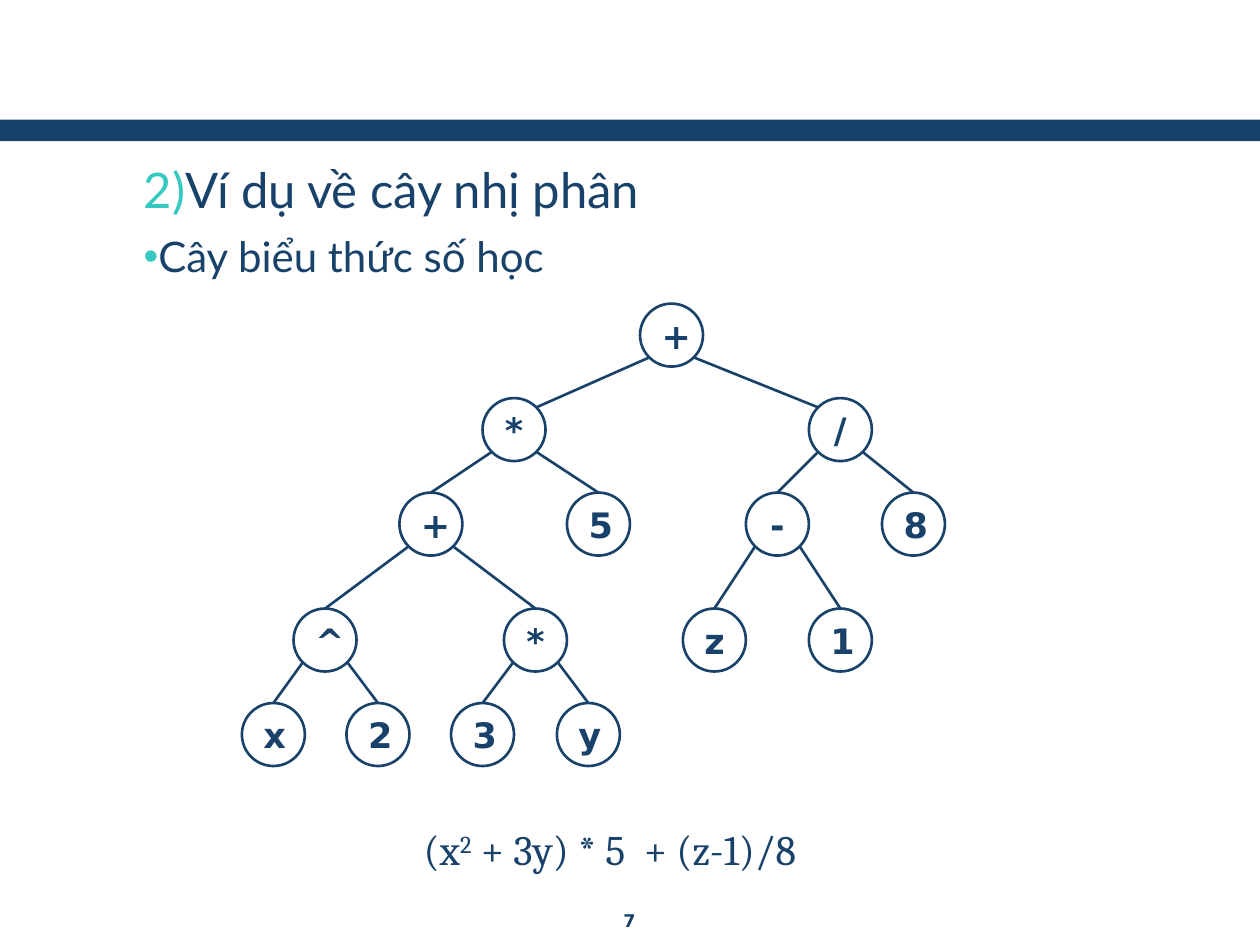
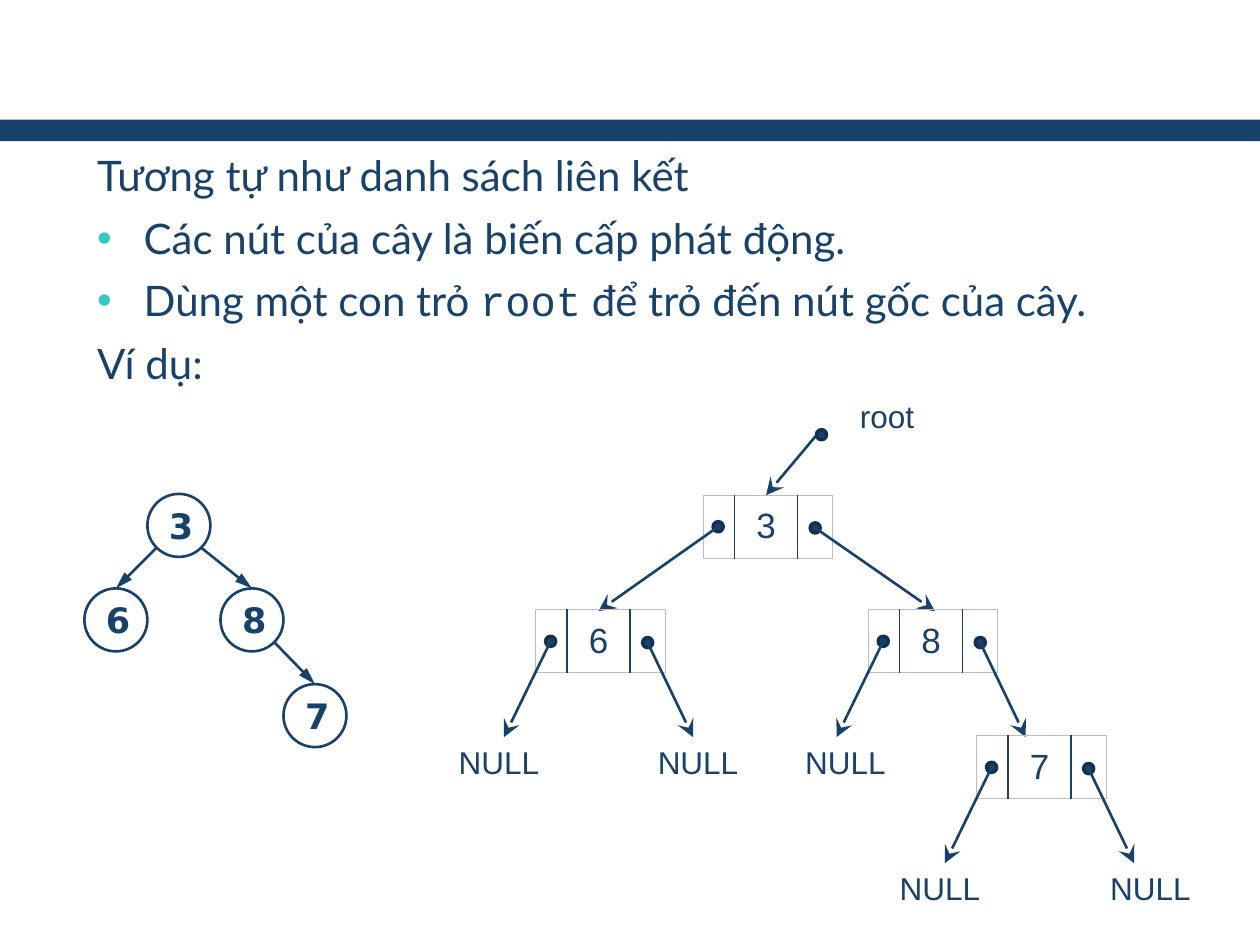
from dataclasses import dataclass

from lxml import etree
from pptx import Presentation
from pptx import util as u
from pptx.dml.color import RGBColor
from pptx.enum import shapes as sh, text as tx
from pptx.oxml.ns import qn


@dataclass(frozen=True)
class Theme:
    navy: str = "19426B"
    dark: str = "12314F"
    teal: str = "35C9C2"
    pale: str = "BCBCC8"
    white: str = "FFFFFF"
    body: str = "Lato"
    code: str = "Courier New"
    math: str = "Cambria"
    node: str = "DejaVu Sans"
    plain: str = "Arial"
    head: int = 28
    text: int = 24
    mark: int = 20
    label: int = 18
    foot: int = 10
    rule: float = 1.5


T = Theme()
SIZE = 0.5      # circle diameter and record height
DOT = 0.08
COLS = (0.25, 0.5, 0.28)
DIAG = SIZE / 2 * 0.7071


# ---------- Helpers ----------
def rgb(code):
    return RGBColor.from_string(code)


def box(*nums):
    return [u.Inches(n) for n in nums]


def assign(obj, fmt):
    for key, val in fmt.items():
        setattr(obj, key, val)


def sub(top, tag, **attrs):
    return etree.SubElement(top, qn(tag), attrs)


def write(par, words, font, size, **fmt):
    run = par.add_run()
    run.text = words
    assign(run.font, dict(name=font, size=u.Pt(size), **fmt))
    run.font.color.rgb = rgb(T.navy)
    return run


# ---------- Basic elements ----------
def shape(slide, kind, at, fill, line=None, width=T.rule):
    item = slide.shapes.add_shape(kind, *box(*at))
    item.shadow.inherit = False
    item.fill.solid()
    item.fill.fore_color.rgb = rgb(fill)
    if line:
        item.line.color.rgb = rgb(line)
        item.line.width = u.Pt(width)
    else:
        item.line.fill.background()
    return item


def label(slide, at, words, font, size, **fmt):
    frame = slide.shapes.add_textbox(*box(*at)).text_frame
    frame.word_wrap = True
    par = frame.paragraphs[0]
    par.alignment = tx.PP_ALIGN.CENTER
    write(par, words, font, size, **fmt)
    return par


def link(slide, start, end, head=None):
    """Line with an optional (type, width, length) arrowhead at its end."""
    line = slide.shapes.add_connector(
        sh.MSO_CONNECTOR.STRAIGHT, *box(*start, *end))
    line.line.color.rgb = rgb(T.navy)
    line.line.width = u.Pt(T.rule)
    if head:
        kind, wide, long = head
        sub(line.line._get_or_add_ln(), "a:tailEnd",
            type=kind, w=wide, len=long)
    sub(line._element.spPr, "a:effectLst")
    return line


# ---------- Body list ----------
def bullet(par, mark, left, hang):
    props = par._p.get_or_add_pPr()
    props.set("marL", str(u.Inches(left)))
    props.set("indent", str(u.Inches(hang)))
    if not mark:
        sub(props, "a:buNone")
        return
    sub(sub(props, "a:buClr"), "a:srgbClr", val=T.teal)
    if isinstance(mark, int):
        sub(props, "a:buAutoNum", type="arabicParenR", startAt=str(mark))
    else:
        sub(props, "a:buChar", char=mark)


def body(slide, at, rows):
    """Each row is (mark, left, hang, size, [(words, font), ...])."""
    hold = slide.placeholders[1]
    assign(hold, dict(zip(("left", "top", "width", "height"), box(*at))))
    frame = hold.text_frame
    assign(frame, dict(word_wrap=True, auto_size=tx.MSO_AUTO_SIZE.NONE,
                       vertical_anchor=tx.MSO_ANCHOR.TOP))
    for num, (mark, left, hang, size, runs) in enumerate(rows):
        par = frame.add_paragraph() if num else frame.paragraphs[0]
        assign(par, dict(level=1, line_spacing=1.1, space_before=u.Pt(4),
                         alignment=tx.PP_ALIGN.LEFT))
        bullet(par, mark, left, hang)
        for words, font in runs:
            write(par, words, font, size)


# ---------- Tree of circles ----------
def circle(slide, x, y, words):
    item = shape(slide, sh.MSO_SHAPE.OVAL, (x, y, SIZE, SIZE),
                 T.white, T.navy)
    frame = item.text_frame
    frame.vertical_anchor = tx.MSO_ANCHOR.MIDDLE
    par = frame.paragraphs[0]
    par.alignment = tx.PP_ALIGN.CENTER
    write(par, words, T.node, T.mark, bold=True)
    return item


def tree(slide, nodes, head=None, corner=()):
    """Each node is (x, y, words, parent); corner lists nodes met sideways."""
    half = SIZE / 2
    rings = [circle(slide, x, y, words) for x, y, words, _ in nodes]
    for num, (x, y, _, top) in enumerate(nodes):
        if top is None:
            continue
        px, py = nodes[top][:2]
        side = 1 if x > px else -1
        start = (px + half + side * DIAG, py + half + DIAG)
        if num in corner:
            link(slide, start, (x + half - side * DIAG, y + half - DIAG), head)
        else:
            link(slide, start, (x + half, y), head).end_connect(rings[num], 0)


# ---------- Linked records ----------
def edges(cell, sides):
    props = cell._tc.get_or_add_tcPr()
    for side in "LRTB":
        color, width = (T.navy, 1) if side in sides else (T.pale, 0.75)
        line = sub(props, f"a:ln{side}", w=str(u.Pt(width)))
        sub(sub(line, "a:solidFill"), "a:srgbClr", val=color)


def dot(slide, x, y):
    shape(slide, sh.MSO_SHAPE.OVAL, (x, y, DOT, DOT), T.navy, T.dark, 2)


def record(slide, x, y, words, ends):
    """Cell trio with two pointers that run to the given end points."""
    grid = slide.shapes.add_table(
        1, 3, *box(x, y, sum(COLS), SIZE)).table
    assign(grid, dict(first_row=False, horz_banding=False))
    grid.rows[0].height = u.Inches(SIZE)
    for num, (width, sides) in enumerate(zip(COLS, ("R", "LR", "L"))):
        grid.columns[num].width = u.Inches(width)
        cell = grid.cell(0, num)
        edges(cell, sides)
        cell.fill.background()
        cell.vertical_anchor = tx.MSO_ANCHOR.MIDDLE
    par = grid.cell(0, 1).text_frame.paragraphs[0]
    par.alignment = tx.PP_ALIGN.CENTER
    write(par, words, T.plain, T.mark)
    for (dx, dy), end in zip(((0.08, 0.21), (0.85, 0.22)), ends):
        dot(slide, x + dx, y + dy)
        link(slide, (x + dx + DOT / 2, y + dy + DOT / 2), end, POINT)


POINT = ("stealth", "lg", "lg")
ARROW = ("triangle", "med", "lg")


# ---------- Slides ----------
def band(slide):
    """Put the shared band on the layout, behind everything."""
    bar = shape(slide, sh.MSO_SHAPE.RECTANGLE, (0, 0.95, 10, 0.17), T.navy)
    slide.slide_layout.shapes.element.insert(2, bar._element)


def page(deck):
    slide = deck.slides.add_slide(deck.slide_layouts[1])
    title = slide.shapes.title._element
    title.getparent().remove(title)
    return slide


def formula(deck):
    slide = page(deck)
    band(slide)
    body(slide, (0.42, 1.17, 9.17, 1.25), [
        (2, 0.62, 0, T.head, [("Ví dụ về cây nhị phân", T.body)]),
        ("•", 0.62, 0, T.text, [("Cây biểu thức số học", T.body)]),
    ])
    tree(slide, [
        (5.08, 2.41, "+", None),
        (3.83, 3.16, "*", 0), (6.42, 3.16, "/", 0),
        (3.17, 3.91, "+", 1), (4.5, 3.91, "5", 1),
        (5.92, 3.91, "-", 2), (7, 3.91, "8", 2),
        (2.33, 4.83, "^", 3), (4, 4.83, "*", 3),
        (5.42, 4.83, "z", 5), (6.42, 4.83, "1", 5),
        (1.92, 5.58, "x", 7), (2.75, 5.58, "2", 7),
        (3.58, 5.58, "3", 8), (4.42, 5.58, "y", 8),
    ], corner=(1, 2))
    par = label(slide, (2.63, 6.49, 4.42, 0.51), "(x", T.math, T.text)
    power = write(par, "2", T.math, T.text)
    power.font._element.set("baseline", "30000")
    write(par, " + 3y) * 5  + (z-1)/8", T.math, T.text)
    # Page number
    label(slide, (3.83, 7.17, 2.33, 0.26), "7", T.node, T.foot, bold=True)


def pointers(deck):
    slide = page(deck)
    body(slide, (0.67, 1.1, 8.83, 2.58), [
        (None, 0, 0, T.text, [("Tương tự như danh sách liên kết", T.body)]),
        ("•", 0.37, -0.37, T.text,
         [("Các nút của cây là biến cấp phát động.", T.body)]),
        ("•", 0.37, -0.37, T.text,
         [("Dùng một con trỏ ", T.body), ("root", T.code),
          (" để trỏ đến nút gốc của cây.", T.body)]),
        (None, 0, 0, T.text, [("Ví dụ:", T.body)]),
    ])
    tree(slide, [
        (1.17, 3.92, "3", None), (0.67, 4.67, "6", 0),
        (1.75, 4.67, "8", 0), (2.25, 5.43, "7", 2),
    ], head=ARROW)
    # Root pointer
    link(slide, (6.5, 3.43), (6.08, 3.93), POINT)
    dot(slide, 6.48, 3.41)
    label(slide, (6.58, 3.1, 0.92, 0.4), "root", T.plain, T.label)
    # Records and their empty ends
    for x, y, words, ends in (
            (5.58, 3.93, "3", ((4.75, 4.85), (7.42, 4.85))),
            (4.25, 4.84, "6", ((4, 5.85), (5.5, 5.85))),
            (6.89, 4.84, "8", ((6.64, 5.85), (8.14, 5.85))),
            (7.75, 5.84, "7", ((7.5, 6.85), (9, 6.85)))):
        record(slide, x, y, words, ends)
    for x, y in ((3.5, 5.85), (5.08, 5.85), (6.25, 5.85),
                 (7, 6.85), (8.67, 6.85)):
        label(slide, (x, y, 0.92, 0.4), "NULL", T.plain, T.label)


def main():
    deck = Presentation()
    deck.slide_width, deck.slide_height = box(10, 7.5)
    formula(deck)
    pointers(deck)
    deck.save("out.pptx")


if __name__ == "__main__":
    main()
